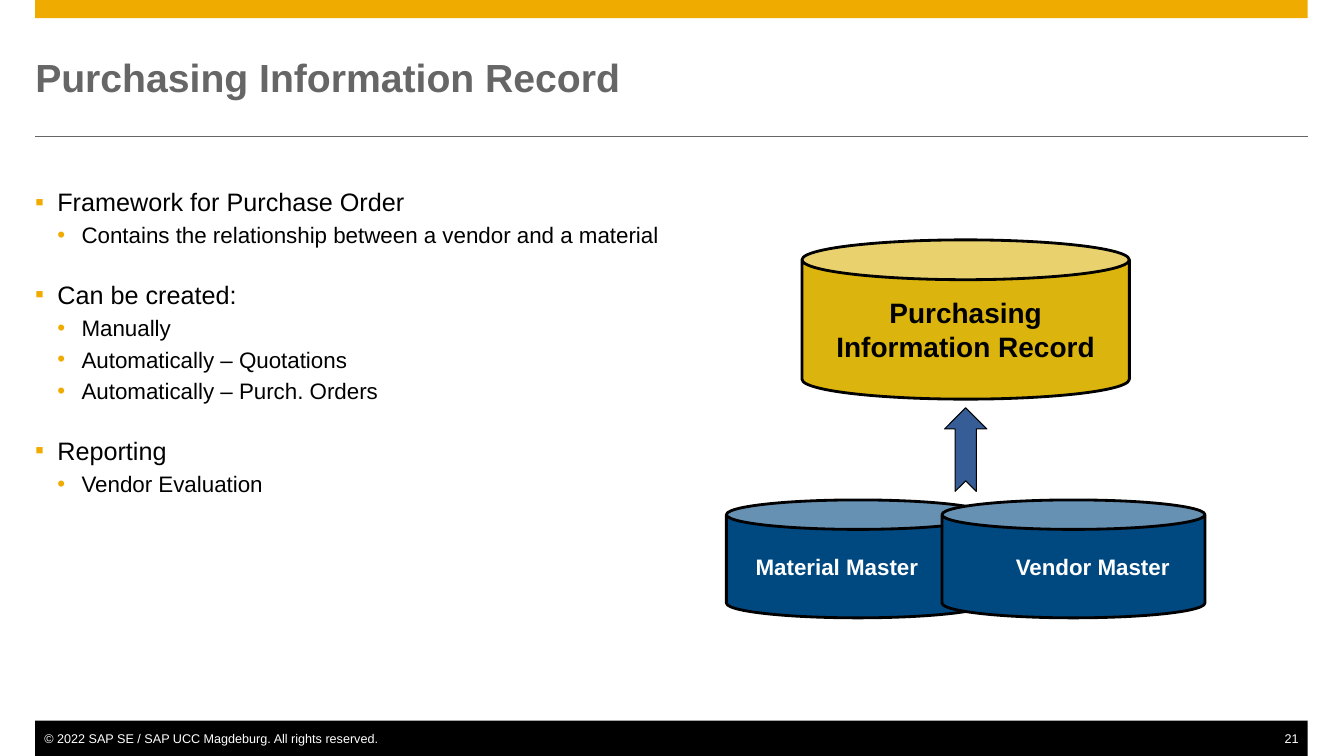
from lxml.etree import SubElement
from pptx import Presentation
from pptx.dml.color import RGBColor
from pptx.enum.shapes import MSO_CONNECTOR, MSO_SHAPE as SHAPE
from pptx.enum.text import MSO_ANCHOR as ANCHOR, PP_ALIGN as ALIGN
from pptx.oxml.ns import qn
from pptx.util import Inches, Pt

GOLD = RGBColor(0xF0, 0xAB, 0x00)
GREY = RGBColor(0x66, 0x66, 0x66)
BLACK = RGBColor(0x00, 0x00, 0x00)
WHITE = RGBColor(0xFF, 0xFF, 0xFF)
BLUE = RGBColor(0x00, 0x48, 0x80)
ARROW_BLUE = RGBColor(0x04, 0x35, 0x7B)
RECORD_GOLD = RGBColor(0xDB, 0xB4, 0x0D)

LEFT, WIDTH = 0.35, 12.63
MASTER_WIDTH, MASTER_TOP, MASTER_HEIGHT = 2.61, 4.96, 1.17
LEVELS = [("▪", 0.22, 0.22, 18, 0), ("•", 0.46, 0.24, 16, 3.4)]
SECTION_GAP = 22
OUTLINE = [
    ("Framework for Purchase Order",
     ["Contains the relationship between a vendor and a material"]),
    ("Can be created:",
     ["Manually", "Automatically – Quotations", "Automatically – Purch. Orders"]),
    ("Reporting", ["Vendor Evaluation"]),
]


def set_text(tf, lines, size, color, bold=False, align=ALIGN.LEFT,
             anchor=ANCHOR.TOP, insets=(0, 0, 0, 0), wrap=True):
    tf.word_wrap = wrap
    tf.vertical_anchor = anchor
    tf.margin_left, tf.margin_top, tf.margin_right, tf.margin_bottom = map(Inches, insets)
    for i, line in enumerate(lines):
        p = tf.paragraphs[0] if i == 0 else tf.add_paragraph()
        p.alignment = align
        r = p.add_run()
        r.text = line
        r.font.name, r.font.size, r.font.bold = "Arial", Pt(size), bold
        r.font.color.rgb = color


def add_shape(slide, kind, box, fill, line=None, weight=2):
    sp = slide.shapes.add_shape(kind, *map(Inches, box))
    sp.shadow.inherit = False
    sp.fill.solid()
    sp.fill.fore_color.rgb = fill
    if line is None:
        sp.line.fill.background()
    else:
        sp.line.color.rgb = line
        sp.line.width = Pt(weight)
    return sp


def add_cylinder(slide, box, fill, lines, size, color, align, insets=(0, 0, 0, 0)):
    sp = add_shape(slide, SHAPE.CAN, box, fill, BLACK)
    sp.adjustments[0] = 0.25
    set_text(sp.text_frame, lines, size, color, bold=True, align=align,
             anchor=ANCHOR.MIDDLE, insets=insets)


def add_label(slide, box, text, **fmt):
    sp = slide.shapes.add_textbox(*map(Inches, box))
    set_text(sp.text_frame, [text], 9, WHITE, **fmt)


def add_rule(slide, y):
    c = slide.shapes.add_connector(MSO_CONNECTOR.STRAIGHT, Inches(LEFT), Inches(y),
                                   Inches(LEFT + WIDTH), Inches(y))
    c.line.color.rgb = GREY
    c.line.width = Pt(0.5)
    SubElement(c._element.spPr, qn("a:effectLst"))


def set_bullet(p, level, gap):
    char, margin, hang, _, _ = LEVELS[level]
    p.level = level
    p.space_before = Pt(gap)
    pPr = p._p.get_or_add_pPr()
    pPr.set("marL", str(Inches(margin)))
    pPr.set("indent", str(-Inches(hang)))
    SubElement(SubElement(pPr, qn("a:buClr")), qn("a:srgbClr"), val=str(GOLD))
    SubElement(pPr, qn("a:buFont"), typeface="Arial")
    SubElement(pPr, qn("a:buChar"), char=char)


def add_outline(slide, box):
    tf = slide.shapes.add_textbox(*map(Inches, box)).text_frame
    items = [(level, text) for head, subs in OUTLINE
             for level, text in [(0, head)] + [(1, sub) for sub in subs]]
    set_text(tf, [text for _, text in items], 18, BLACK)
    for i, (p, (level, _)) in enumerate(zip(tf.paragraphs, items)):
        size, gap = LEVELS[level][3:]
        if level == 0 and i > 0:
            gap = SECTION_GAP
        set_bullet(p, level, gap)
        p.runs[0].font.size = Pt(size)


def add_up_arrow(slide, box):
    sp = add_shape(slide, SHAPE.NOTCHED_RIGHT_ARROW, box, ARROW_BLUE, BLACK, 0.75)
    sp.rotation = 270
    color = sp._element.spPr.find(qn("a:solidFill")).find(qn("a:srgbClr"))
    SubElement(color, qn("a:alpha"), val="80000")


def add_title(slide, text):
    sp = slide.shapes.title
    sp.left, sp.top, sp.width, sp.height = map(Inches, (LEFT, 0.35, WIDTH, 0.83))
    set_text(sp.text_frame, [text], 28, GREY, bold=True, anchor=ANCHOR.MIDDLE)


def main():
    prs = Presentation()
    prs.slide_width, prs.slide_height = Inches(13.34), Inches(7.5)
    slide = prs.slides.add_slide(prs.slide_layouts[5])

    add_shape(slide, SHAPE.RECTANGLE, (LEFT, 0, WIDTH, 0.18), GOLD)
    add_rule(slide, 1.35)
    add_shape(slide, SHAPE.RECTANGLE, (LEFT, 7.15, WIDTH, 0.35), BLACK)
    add_label(slide, (LEFT, 7.25, 3.45, 0.15),
              "© 2022 SAP SE / SAP UCC Magdeburg. All rights reserved.",
              insets=(0.09, 0, 0, 0), wrap=False)
    add_label(slide, (12.73, 7.25, 0.25, 0.15), "21",
              align=ALIGN.RIGHT, insets=(0, 0, 0.09, 0))

    add_title(slide, "Purchasing Information Record")
    add_outline(slide, (LEFT, 1.85, WIDTH, 4.8))

    add_up_arrow(slide, (9.17, 4.25, 0.83, 0.42))
    masters = [
        (7.21, "Material Master", ALIGN.LEFT, (0.29, 0, 0, 0)),
        (9.35, "Vendor Master", ALIGN.RIGHT, (0, 0, 0.35, 0)),
    ]
    for x, name, align, insets in masters:
        add_cylinder(slide, (x, MASTER_TOP, MASTER_WIDTH, MASTER_HEIGHT), BLUE,
                     [name], 16, WHITE, align, insets)
    add_cylinder(slide, (7.96, 2.38, 3.25, 1.58), RECORD_GOLD,
                 ["Purchasing", "Information Record"], 20, BLACK, ALIGN.CENTER)

    prs.save("out.pptx")


if __name__ == "__main__":
    main()
